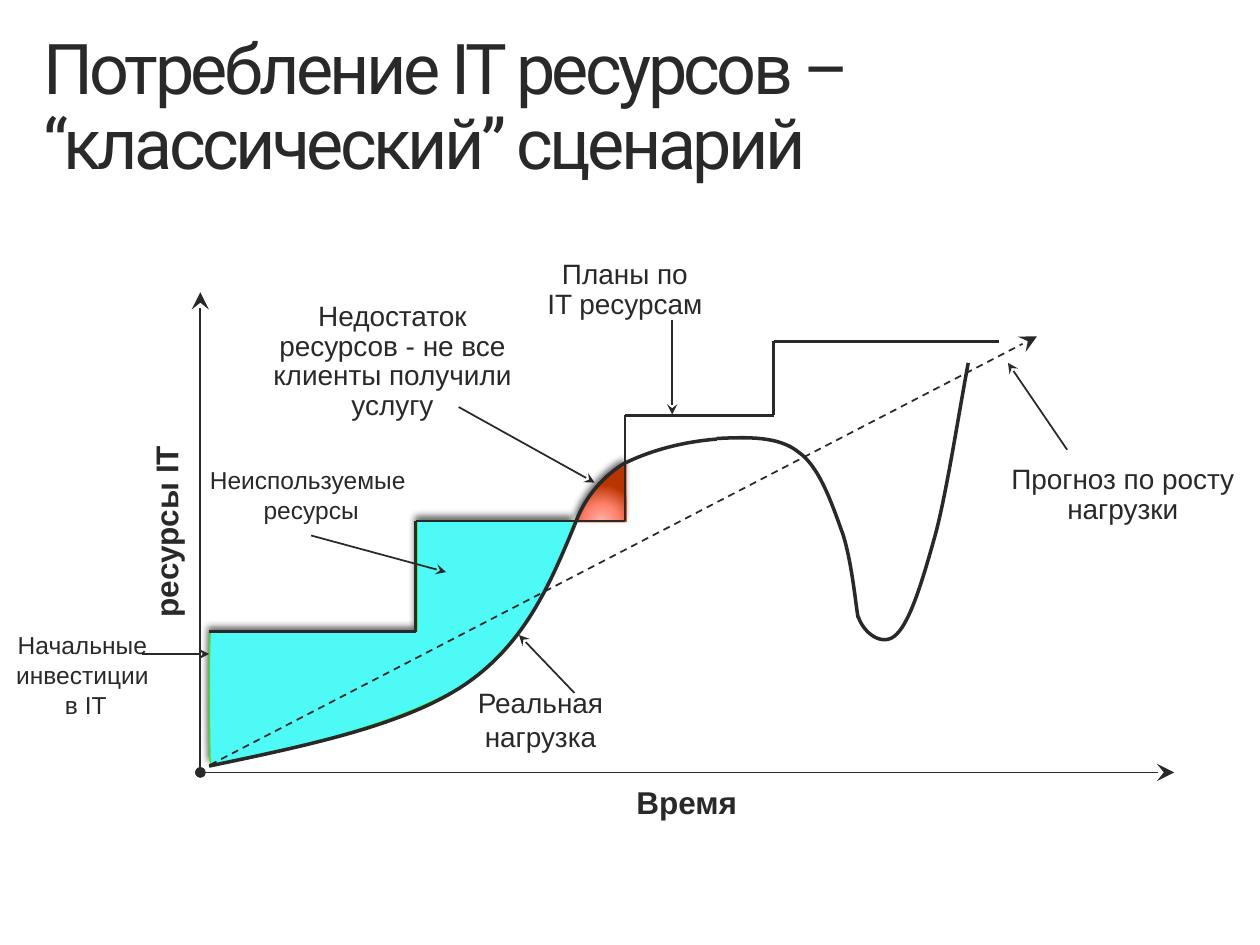
from lxml import etree
from pptx import Presentation
from pptx.dml.color import RGBColor
from pptx.enum.dml import MSO_LINE
from pptx.enum.shapes import MSO_CONNECTOR, MSO_SHAPE
from pptx.enum.text import MSO_ANCHOR, PP_ALIGN
from pptx.oxml import parse_xml
from pptx.oxml.ns import qn
from pptx.util import Pt

STRAIGHT = MSO_CONNECTOR.STRAIGHT
ROUNDED = MSO_SHAPE.ROUNDED_RECTANGLE
DASH = MSO_LINE.DASH
TOP, MIDDLE = MSO_ANCHOR.TOP, MSO_ANCHOR.MIDDLE
LEFT, CENTER = PP_ALIGN.LEFT, PP_ALIGN.CENTER

INK = RGBColor(0x29, 0x29, 0x29)
CYAN = RGBColor(0x4D, 0xFA, 0xF5)
GREEN = RGBColor(0x46, 0xE2, 0x1C)
ORANGE = RGBColor(0xFF, 0x58, 0x14)
GLOW = (
    (0, RGBColor(0xFF, 0xB4, 0xAB)),
    (46, RGBColor(0xFF, 0x82, 0x6D)),
    (100, RGBColor(0xB9, 0x35, 0x00)),
)
NAMESPACE = 'xmlns:a="http://schemas.openxmlformats.org/drawingml/2006/main"'


class Diagram:
    def __init__(self, slide):
        self.slide = slide
        self.font = {"name": "Arial", "size": Pt(16), "bold": False}

    def text(self, words, box, shape=None, inset=(0, 3.6), anchor=MIDDLE,
             align=CENTER, spacing=None, wrap=True, rotation=0, tracking=0, **font):
        lengths = [Pt(value) for value in box]
        if shape is None:
            holder = self.slide.shapes.add_textbox(*lengths)
        else:
            holder = self.slide.shapes.add_shape(shape, *lengths)
            holder.shadow.inherit = False
            holder.fill.background()
            holder.line.fill.background()
        holder.rotation = rotation
        across, down = (Pt(value) for value in inset)
        frame = holder.text_frame
        frame.text = words
        frame_format = {
            "margin_left": across, "margin_right": across,
            "margin_top": down, "margin_bottom": down,
            "word_wrap": wrap, "vertical_anchor": anchor,
        }
        for name, value in frame_format.items():
            setattr(frame, name, value)
        for paragraph in frame.paragraphs:
            paragraph.alignment = align
            paragraph.line_spacing = spacing
            for run in paragraph.runs:
                for name, value in {**self.font, **font}.items():
                    setattr(run.font, name, value)
                run.font.color.rgb = INK
                if tracking:
                    run.font._element.set("spc", str(tracking * 100))
                    run.font._element.set("kern", "0")

    def line(self, start, end, width=1.0, dash=None, head=None, tail=None, shapes=None):
        connector = (shapes or self.slide.shapes).add_connector(
            STRAIGHT, *(Pt(value) for value in (*start, *end)))
        line_format = {"width": Pt(width), "dash_style": dash}
        for name, value in line_format.items():
            setattr(connector.line, name, value)
        connector.line.color.rgb = INK
        outline = connector.line._get_or_add_ln()
        for tag, ending in (("a:headEnd", head), ("a:tailEnd", tail)):
            if ending:
                kind, size = ending
                etree.SubElement(outline, qn(tag), type=kind, w=size, len=size)
        etree.SubElement(connector._element.spPr, qn("a:effectLst"))

    def staircase(self, corners):
        group = self.slide.shapes.add_group_shape()
        for start, end in zip(corners, corners[1:]):
            self.line(start, end, 1.5, shapes=group.shapes)

    def outline(self, start, *segments, color=INK, width=2.0, closed=False):
        left, top = start
        builder = self.slide.shapes.build_freeform(Pt(left), Pt(top))
        builder.add_line_segments(
            [(Pt(x), Pt(y)) for segment in segments for x, y in segment], close=closed)
        curve = builder.convert_to_shape()
        steps = iter(list(curve._element.iter(qn("a:lnTo"))))
        for segment in segments:
            first, *others = [next(steps) for _ in segment]
            if others:
                first.tag = qn("a:cubicBezTo")
                for step in others:
                    first.append(step[0])
                    step.getparent().remove(step)
        curve.shadow.inherit = False
        curve.fill.background()
        curve.line.color.rgb = color
        curve.line.width = Pt(width)
        return curve

    def area(self, start, *segments, color, fill):
        region = self.outline(start, *segments, color=color, width=0.75, closed=True)
        properties = region._element.spPr
        if isinstance(fill, RGBColor):
            region.fill.solid()
            region.fill.fore_color.rgb = fill
        else:
            stops = "".join(
                f'<a:gs pos="{place * 1000}"><a:srgbClr val="{shade}"/></a:gs>'
                for place, shade in fill)
            properties.replace(properties.find(qn("a:noFill")), parse_xml(
                f'<a:gradFill {NAMESPACE}><a:gsLst>{stops}</a:gsLst><a:path path="circle">'
                '<a:fillToRect l="50000" t="155000" r="50000" b="-55000"/>'
                '</a:path></a:gradFill>'))
        properties.find(qn("a:effectLst")).append(parse_xml(
            f'<a:outerShdw {NAMESPACE} blurRad="{Pt(4)}" dist="{Pt(3)}" dir="{245 * 60000}" '
            'rotWithShape="0"><a:srgbClr val="000000"><a:alpha val="60000"/>'
            '</a:srgbClr></a:outerShdw>'))


def main():
    deck = Presentation()
    deck.slide_width, deck.slide_height = Pt(720), Pt(540)
    diagram = Diagram(deck.slides.add_slide(deck.slide_layouts[6]))

    diagram.text("Потребление IT ресурсов – “классический” сценарий",
                 (24.6, 19.4, 557.3, 52.6), inset=(0, 0), anchor=TOP, align=LEFT,
                 spacing=0.9, tracking=-2, name="Roboto", size=Pt(40))

    diagram.area((357.8, 298.1),
                 ((357.8, 289.4), (357.8, 272.9), (357.8, 265.7)),
                 ((349.9, 267.8), (333.4, 283.7), (329.8, 298.1)),
                 color=ORANGE, fill=GLOW)
    diagram.area((120.2, 437),
                 ((119.5, 411.8), (119.5, 376.6), (120.2, 360.7)),
                 ((238.3, 360.7),),
                 ((238.3, 333.4), (238.3, 318.2), (238.3, 297.4)),
                 ((328.3, 297.4),),
                 ((317.5, 329.8), (297.4, 371.5), (260.6, 393.8)),
                 ((219.6, 416.9), (162.7, 428.4), (120.2, 437)),
                 color=GREEN, fill=CYAN)
    diagram.staircase([(119.5, 361), (237.6, 361), (237.6, 297.7), (357.1, 297.7),
                       (357.1, 237.4), (442.1, 237.4), (442.1, 195.1), (571, 195.1)])

    origin = (114.5, 441.4)
    dot, large, small = ("oval", "med"), ("stealth", "lg"), ("stealth", "med")
    for axis_end in ((671, 441.4), (114.5, 167)):
        diagram.line(origin, axis_end, head=dot, tail=large)
    axis_title = {"inset": (7.2, 3.6), "wrap": False, "size": Pt(18), "bold": True}
    diagram.text("Время", (339.1, 445, 106.6, 26), **axis_title)
    diagram.text("ресурсы IT", (29.7, 289, 130, 29.5), rotation=270, **axis_title)
    diagram.line((120.2, 437), (592.6, 192.2), dash=DASH, tail=large)

    load_curves = (
        ((409.7, 250.6),
         ((427, 249.8), (445, 249.1), (456.5, 258.5)),
         ((468.7, 267.1), (475.9, 289.4), (481.7, 305.3)),
         ((486.7, 321.1), (488.9, 344.2), (490.3, 352.8))),
        ((490.3, 352.1),
         ((493.9, 362.9), (505.4, 370.1), (512.6, 362.2)),
         ((520.6, 354.2), (527.8, 329.8), (535, 303.8)),
         ((541.4, 278.6), (547.2, 240.5), (553.3, 207.4))),
        ((119.5, 437.8),
         ((175, 426.2), (230.4, 414.7), (265, 391.7)),
         ((299.5, 368.6), (313.9, 334.8), (328.3, 300.2))),
        ((328.3, 300.2),
         ((333.4, 285.8), (342.7, 273.6), (356.4, 265)),
         ((369.4, 258.5), (387.4, 252.7), (409.7, 250.9))),
    )
    for load_curve in load_curves:
        diagram.outline(*load_curve)

    callouts = (
        ("Реальная нагрузка", (262.1, 385.4, 93.6, 51.1), 16, None,
         (328.3, 396), (296.6, 362.9)),
        ("Планы по\vIT ресурсам", (305.6, 142.6, 103, 46.8), 16, Pt(17),
         (384.1, 182.9), (384.1, 236.9)),
        ("Неиспользуемые \nресурсы", (114.5, 259.6, 126.7, 46.1), 14, Pt(17),
         (177.8, 306), (254.9, 326.9)),
        ("Недостаток ресурсов - не все клиенты получили услугу",
         (149.8, 164.6, 149, 84.2), 16, Pt(17), (262.1, 232.6), (339.8, 275.8)),
        ("Прогноз по росту\nнагрузки", (553.4, 262.1, 176.4, 41.8), 16, Pt(17),
         (609.8, 257), (576, 207.4)),
        ("Начальные\nинвестиции\n в IT", (-0.4, 353.2, 95, 64.8), 14, Pt(17),
         (81.4, 373.7), (119.5, 373.7)),
    )
    for words, box, size, spacing, start, end in callouts:
        diagram.text(words, box, ROUNDED, spacing=spacing, size=Pt(size))
        diagram.line(start, end, tail=small)

    deck.save("out.pptx")


if __name__ == "__main__":
    main()
